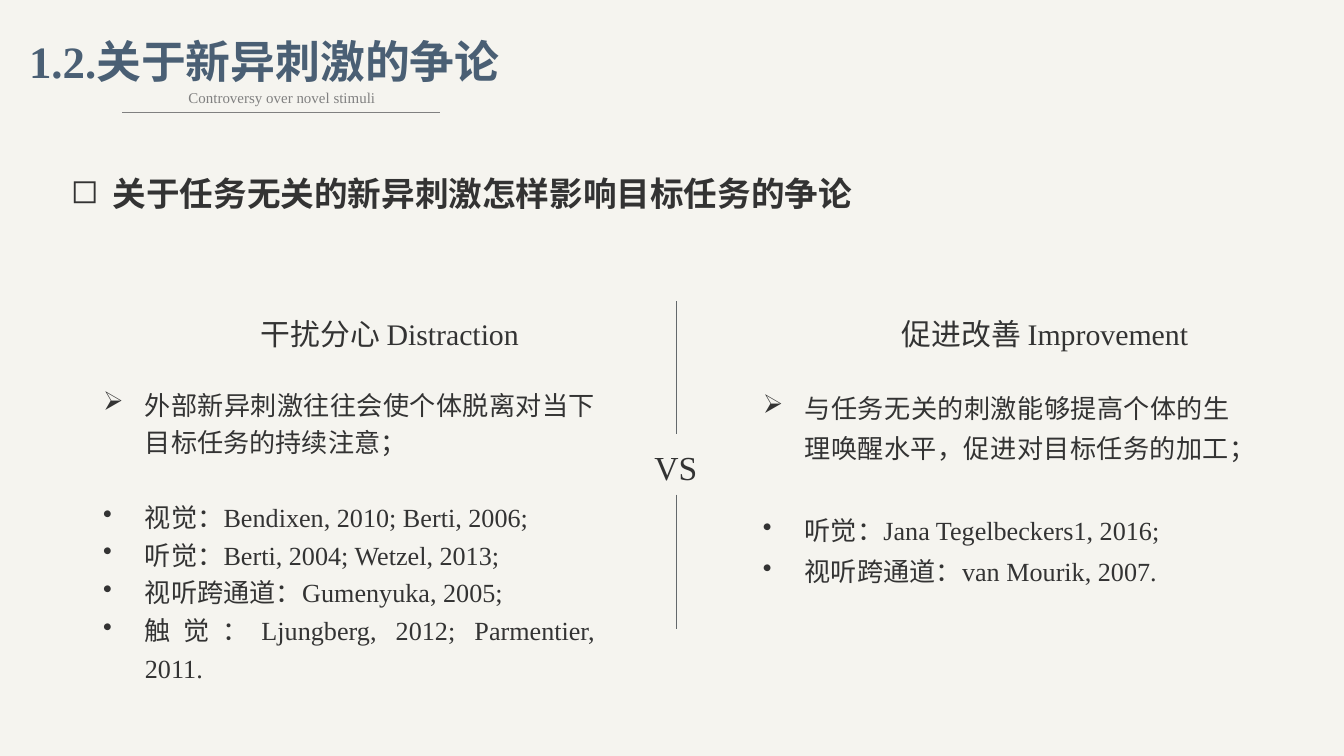
from lxml.etree import SubElement
from pptx import Presentation
from pptx.dml.color import RGBColor
from pptx.enum.shapes import MSO_CONNECTOR
from pptx.enum.text import MSO_AUTO_SIZE, PP_ALIGN
from pptx.oxml.ns import qn
from pptx.util import Cm, Pt

SERIF = "Times New Roman"
SANS = "Noto Sans CJK SC"
INK, NAVY, GREY, SLATE = "333333", "4A5F74", "808080", "63686B"


def color(value):
    return RGBColor.from_string(value)


def apply_format(target, values):
    for name, value in values.items():
        setattr(target, name, value)


def add_span(para, text, font, size, ink, bold):
    span = para.add_run()
    span.text = text
    apply_format(span.font, {"name": font, "size": Pt(size), "bold": bold})
    span.font.color.rgb = color(ink)
    SubElement(span.font._element, qn("a:ea")).set("typeface", SANS)


def add_bullet(para, mark):
    """Give the paragraph a hanging bullet."""
    properties = para._p.get_or_add_pPr()
    properties.set("marL", str(Cm(0.79)))
    properties.set("indent", str(-Cm(0.79)))
    SubElement(properties, qn("a:buChar")).set("char", mark)


def add_box(page, left, top, width, height, wrap=True):
    box = page.shapes.add_textbox(Cm(left), Cm(top), Cm(width), Cm(height))
    apply_format(box.text_frame, {
        "word_wrap": wrap, "auto_size": MSO_AUTO_SIZE.SHAPE_TO_FIT_TEXT})
    return box


def add_label(page, place, text, size, ink=INK, bold=False,
              align=PP_ALIGN.LEFT, wrap=True):
    box = add_box(page, *place, wrap=wrap)
    para = box.text_frame.paragraphs[0]
    para.alignment = align
    add_span(para, text, SERIF, size, ink, bold)
    return box


def add_list(page, place, items, size, spacing, gap=0, bold=False):
    """Add bulleted items; gap sets the second item apart from the first."""
    frame = add_box(page, *place).text_frame
    for index, (mark, spans) in enumerate(items):
        para = frame.add_paragraph() if index else frame.paragraphs[0]
        add_bullet(para, mark)
        apply_format(para, {
            "alignment": PP_ALIGN.JUSTIFY, "line_spacing": spacing,
            "space_before": Pt(gap if index == 1 else 0)})
        for text, font in spans:
            add_span(para, text, font, size, INK, bold)


def add_line(page, start, end, ink):
    line = page.shapes.add_connector(
        MSO_CONNECTOR.STRAIGHT, *(Cm(value) for value in start + end))
    line.line.color.rgb = color(ink)
    line.line.width = Pt(0.5)
    SubElement(line._element.spPr, qn("a:effectLst"))
    return line


def add_header(page):
    add_line(page, (2.31, 2.13), (8.31, 2.13), GREY)
    add_label(page, (0.3, 0.51, 10.97, 1.27), "1.2.关于新异刺激的争论",
              24, NAVY, bold=True)
    add_label(page, (3.3, 1.55, 4.06, 0.61), "Controversy over novel stimuli",
              8, GREY, align=PP_ALIGN.CENTER, wrap=False)


def add_divider(page):
    middle = 12.78
    versus = add_label(page, (12.12, 8.33, 1.32, 1.02), "VS", 18)
    add_line(page, (middle, 5.69), (middle, 8.2), SLATE)
    lower = add_line(page, (middle, 9.35), (middle, 11.89), SLATE)
    lower.begin_connect(versus, 2)


def add_side(page, title, title_place, wrap, list_place, claim, studies,
             spacing, gap):
    add_label(page, title_place, title, 16, align=PP_ALIGN.CENTER, wrap=wrap)
    items = [("➢", claim)] + [("•", [(study, SERIF)]) for study in studies]
    add_list(page, list_place, items, 14, spacing, gap)


def main():
    deck = Presentation()
    apply_format(deck, {"slide_width": Cm(25.4), "slide_height": Cm(14.29)})
    page = deck.slides.add_slide(deck.slide_layouts[6])
    page.background.fill.solid()
    page.background.fill.fore_color.rgb = color("F5F4EF")

    add_header(page)
    question = [("关于任务无关的新异刺激怎样影响目标任务", SANS),
                ("的争论", SERIF)]
    add_list(page, (1.09, 2.77, 15.65, 1.27), [("◻", question)],
             18, 1.5, bold=True)
    add_divider(page)
    add_side(page, "干扰分心 Distraction", (4.6, 5.84, 5.54, 0.94), False,
             (1.7, 7.11, 9.8, 5.21),
             [("外部新异刺激往往会使个体脱离对当下目标任务的持续注意；", SANS)],
             ["视觉：Bendixen, 2010; Berti, 2006;",
              "听觉：Berti, 2004; Wetzel, 2013;",
              "视听跨通道：Gumenyuka, 2005;",
              "触觉：Ljungberg, 2012; Parmentier, 2011."], 1.2, 20)
    add_side(page, "促进改善 Improvement", (16.74, 5.84, 6.02, 0.94), True,
             (14.17, 7.11, 9.32, 4.06),
             [("与任务无关的刺激", SANS), ("能够提高个体的", SERIF),
              ("生理唤醒水平，促进对目标任务的加工", SANS), ("；", SERIF)],
             ["听觉：Jana Tegelbeckers1, 2016;",
              "视听跨通道：van Mourik, 2007."], 1.3, 22)
    deck.save("out.pptx")


if __name__ == "__main__":
    main()
